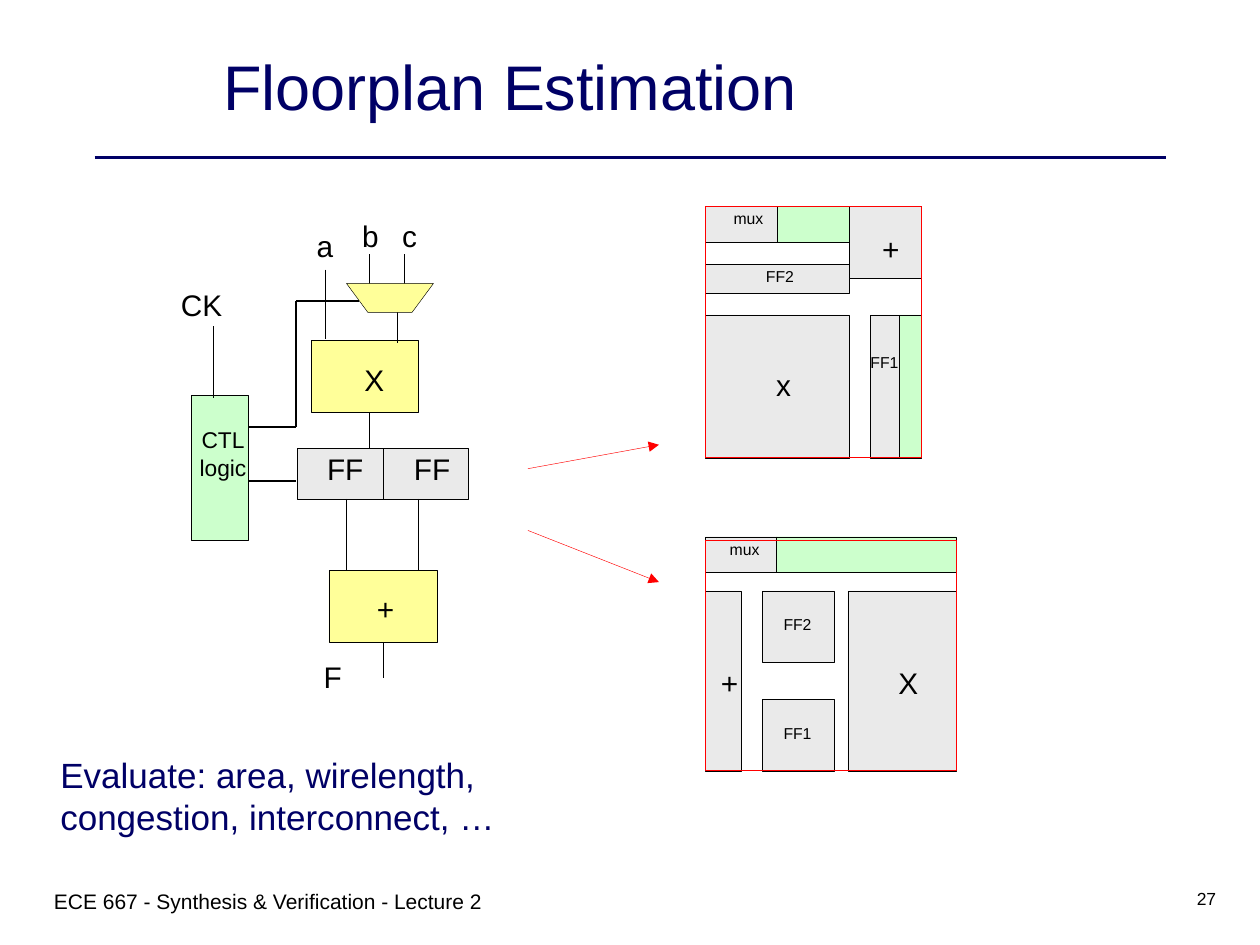
from dataclasses import dataclass
from typing import Optional

from lxml import etree
from pptx import Presentation
from pptx.dml.color import RGBColor
from pptx.enum.shapes import MSO_CONNECTOR, MSO_SHAPE
from pptx.enum.text import MSO_ANCHOR, MSO_AUTO_SIZE, PP_ALIGN
from pptx.oxml.ns import qn
from pptx.util import Inches, Pt

COLORS = {
    "navy": "000066",
    "black": "000000",
    "red": "FF0000",
    "gray": "EAEAEA",
    "green": "CCFFCC",
    "yellow": "FFFF99",
}
THIN = 0.25


@dataclass(frozen=True)
class Block:
    left: float
    top: float
    width: float
    height: float
    fill: Optional[str] = "gray"
    line: str = "black"


@dataclass(frozen=True)
class Label:
    text: str
    center: float
    top: float
    size: int = 17


@dataclass(frozen=True)
class Wire:
    start: tuple
    end: tuple
    color: str = "black"
    weight: float = THIN
    arrow: bool = False


@dataclass(frozen=True)
class Diagram:
    blocks: list
    labels: list
    outline: Optional[Block] = None


def rgb(name: str) -> RGBColor:
    return RGBColor.from_string(COLORS[name])


def set_all(target, values: dict) -> None:
    for attribute, value in values.items():
        setattr(target, attribute, value)


def paint(shape, fill: Optional[str], line: str):
    shape.shadow.inherit = False
    if fill:
        shape.fill.solid()
        shape.fill.fore_color.rgb = rgb(fill)
    else:
        shape.fill.background()
    shape.line.color.rgb = rgb(line)
    shape.line.width = Pt(THIN)
    return shape


def draw_block(shapes, block: Block):
    box = (block.left, block.top, block.width, block.height)
    shape = shapes.add_shape(MSO_SHAPE.RECTANGLE, *map(Inches, box))
    return paint(shape, block.fill, block.line)


def draw_wire(shapes, wire: Wire):
    ends = map(Inches, (*wire.start, *wire.end))
    connector = shapes.add_connector(MSO_CONNECTOR.STRAIGHT, *ends)
    connector.line.color.rgb = rgb(wire.color)
    connector.line.width = Pt(wire.weight)
    if wire.arrow:
        etree.SubElement(connector.line._get_or_add_ln(), qn("a:tailEnd"), type="triangle")
    etree.SubElement(connector._element.spPr, qn("a:effectLst"))
    return connector


def write(frame, text: str, size: int, color: str, align=PP_ALIGN.LEFT) -> None:
    frame.text = text
    paragraph = frame.paragraphs[0]
    set_all(paragraph, {"alignment": align, "space_before": Pt(0)})
    set_all(paragraph.font, {"name": "Arial", "size": Pt(size)})
    paragraph.font.color.rgb = rgb(color)


def draw_label(shapes, label: Label) -> None:
    width, height = 0.4, label.size / 60
    box = (label.center - width / 2, label.top, width, height)
    frame = shapes.add_textbox(*map(Inches, box)).text_frame
    set_all(frame, {
        "margin_left": 0, "margin_right": 0, "margin_top": 0, "margin_bottom": 0,
        "word_wrap": False, "vertical_anchor": MSO_ANCHOR.TOP,
    })
    write(frame, label.text, label.size, "black", PP_ALIGN.CENTER)


def draw_note(shapes, box: tuple, text: str, size: int, color: str, align=PP_ALIGN.LEFT) -> None:
    frame = shapes.add_textbox(*map(Inches, box)).text_frame
    frame.word_wrap = True
    write(frame, text, size, color, align)


def draw_diagram(shapes, diagram: Diagram) -> list:
    drawn = [draw_block(shapes, block) for block in diagram.blocks]
    for label in diagram.labels:
        draw_label(shapes, label)
    if diagram.outline:
        draw_block(shapes, diagram.outline)
    return drawn


def draw_mux(shapes) -> None:
    corners = [(2.75, 2.25), (3.44, 2.25), (3.27, 2.48), (2.92, 2.48)]
    points = [(Inches(x), Inches(y)) for x, y in corners]
    builder = shapes.build_freeform(*points[0])
    builder.add_line_segments(points[1:], close=True)
    paint(builder.convert_to_shape(), "yellow", "black")


COMPACT_PLAN = Diagram(
    [Block(5.6, 2.5, 1.14, 1.14), Block(5.6, 2.1, 1.14, 0.23),
     Block(6.91, 2.5, 0.23, 1.14), Block(6.74, 1.64, 0.57, 0.57),
     Block(5.6, 1.64, 0.57, 0.28), Block(6.17, 1.64, 0.57, 0.28, "green"),
     Block(7.14, 2.5, 0.17, 1.14, "green")],
    [Label("FF2", 6.19, 2.12, 9), Label("x", 6.22, 2.91), Label("+", 7.07, 1.83),
     Label("FF1", 7.02, 2.8, 9), Label("mux", 5.94, 1.66, 9)],
    Block(5.6, 1.64, 1.71, 1.99, None, "red"),
)
WIDE_PLAN = Diagram(
    [Block(6.05, 4.69, 0.57, 0.57), Block(6.73, 4.69, 0.86, 1.43),
     Block(6.05, 5.55, 0.57, 0.57), Block(5.6, 4.69, 0.28, 1.43),
     Block(5.6, 4.26, 0.57, 0.28), Block(6.16, 4.26, 1.43, 0.28, "green")],
    [Label("mux", 5.91, 4.28, 9), Label("X", 7.21, 5.28), Label("FF1", 6.33, 5.74, 9),
     Label("FF2", 6.33, 4.88, 9), Label("+", 5.79, 5.28)],
    Block(5.6, 4.29, 1.99, 1.82, None, "red"),
)
DATAPATH = Diagram(
    [Block(2.61, 4.53, 0.86, 0.57, "yellow"), Block(2.47, 2.7, 0.85, 0.57, "yellow"),
     Block(2.36, 3.56, 0.68, 0.4), Block(3.04, 3.56, 0.68, 0.4),
     Block(1.52, 3.14, 0.45, 1.15, "green")],
    [Label("+", 3.06, 4.69), Label("X", 2.97, 2.87), Label("FF", 2.74, 3.58),
     Label("FF", 3.43, 3.58), Label("CTL", 1.77, 3.38, 13), Label("logic", 1.77, 3.6, 13),
     Label("CK", 1.6, 2.28), Label("a", 2.58, 1.81), Label("b", 2.94, 1.73),
     Label("c", 3.25, 1.73), Label("F", 2.64, 5.23)],
)
VERTICAL_WIRES = [
    (2.93, 3.28, 3.56), (3.32, 3.96, 4.53), (2.75, 3.96, 4.53), (3.15, 2.42, 2.72),
    (3.21, 2.02, 2.25), (2.93, 2.02, 2.25), (2.58, 2.14, 2.69), (1.69, 2.59, 3.16),
]
MUX_CONTROL = [(1.97, 3.39), (2.35, 3.39), (2.35, 2.39), (2.85, 2.39)]


def main() -> None:
    deck = Presentation()
    set_all(deck, {"slide_width": Inches(10), "slide_height": Inches(7.5)})
    slide = deck.slides.add_slide(deck.slide_layouts[5])
    shapes = slide.shapes

    title = shapes.title
    set_all(title, {"left": Inches(1.67), "top": Inches(0.33),
                    "width": Inches(7.17), "height": Inches(0.7)})
    set_all(title.text_frame, {"vertical_anchor": MSO_ANCHOR.BOTTOM, "word_wrap": True,
                               "auto_size": MSO_AUTO_SIZE.NONE})
    write(title.text_frame, "Floorplan Estimation", 36, "navy")
    draw_wire(shapes, Wire((0.75, 1.25), (9.25, 1.25), "navy", 2.25))

    draw_diagram(shapes, WIDE_PLAN)
    draw_diagram(shapes, COMPACT_PLAN)
    adder = draw_diagram(shapes, DATAPATH)[0]

    for x, top, bottom in VERTICAL_WIRES:
        draw_wire(shapes, Wire((x, top), (x, bottom)))
    output = draw_wire(shapes, Wire((3.04, 5.1), (3.04, 5.38)))
    output.begin_connect(adder, 2)
    draw_mux(shapes)
    for start, end in zip(MUX_CONTROL, MUX_CONTROL[1:]):
        draw_wire(shapes, Wire(start, end, weight=1))
    draw_wire(shapes, Wire((1.97, 3.82), (2.35, 3.82), weight=1.25))
    for start, end in [((4.19, 3.72), (5.23, 3.53)), ((4.19, 4.21), (5.23, 4.62))]:
        draw_wire(shapes, Wire(start, end, "red", arrow=True))

    draw_note(shapes, (0.38, 5.93, 3.81, 0.77),
              "Evaluate: area, wirelength, congestion, interconnect, …", 20, "navy")
    draw_note(shapes, (0.33, 7, 4.5, 0.5),
              "ECE 667 - Synthesis & Verification - Lecture 2", 12, "black")
    draw_note(shapes, (7.67, 7, 2.08, 0.5), "27", 10, "black", PP_ALIGN.RIGHT)
    deck.save("out.pptx")


if __name__ == "__main__":
    main()
